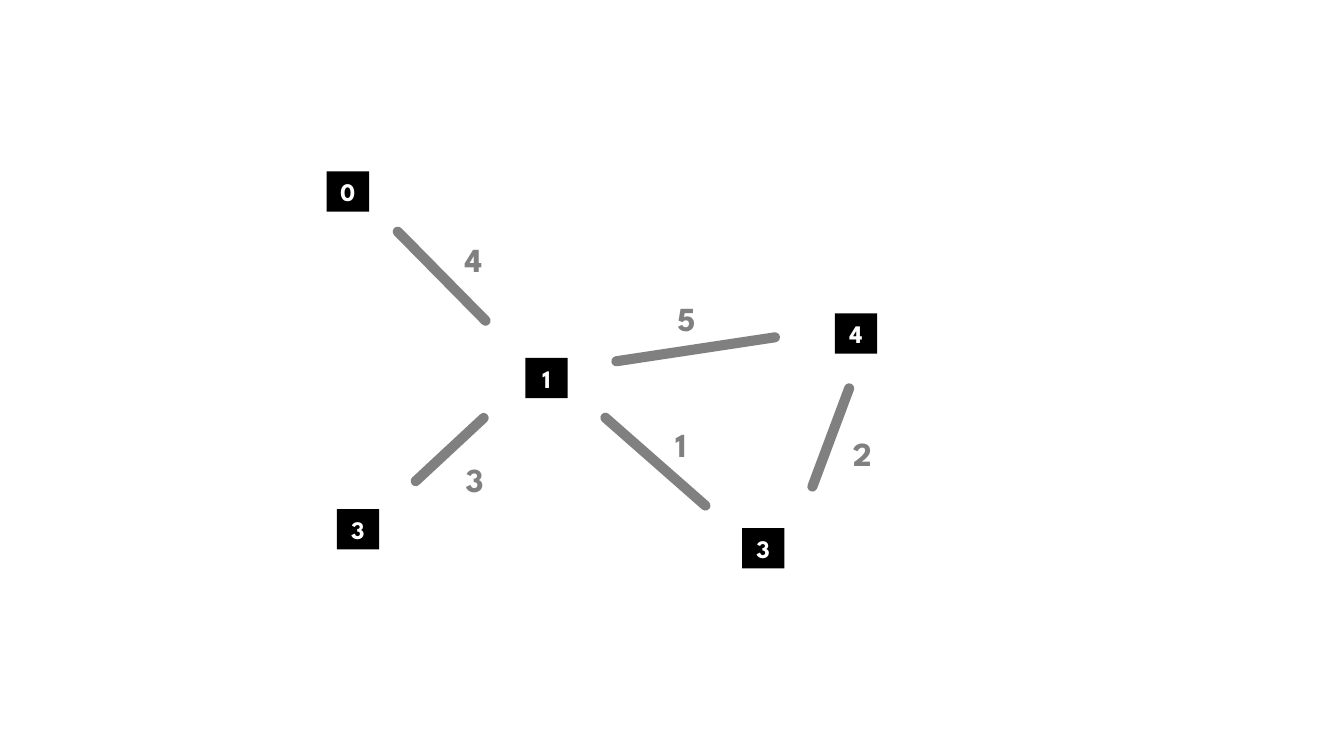
from pptx import Presentation
from pptx.dml.color import RGBColor
from pptx.enum.shapes import MSO_SHAPE
from pptx.enum.text import MSO_ANCHOR, PP_ALIGN
from pptx.util import Inches, Pt

# Content: nodes as (label, left, top)
NODES = [
    ("0", 3.24, 1.70),
    ("1", 5.21, 3.55),
    ("3", 7.36, 5.24),
    ("4", 8.28, 3.11),
    ("3", 3.34, 5.05),
]
# Edges as (weight, (label left, top), (bar centre x, y), length, rotation)
EDGES = [
    ("3", (4.52, 4.50), (4.46, 4.46), 1.02, 47.1),
    ("4", (4.51, 2.32), (4.38, 2.74), 1.34, 135.4),
    ("5", (6.62, 2.91), (6.90, 3.465), 1.69, 81.4),
    ("1", (6.60, 4.16), (6.50, 4.58), 1.42, 131.3),
    ("2", (8.36, 4.25), (8.24, 4.34), 1.14, 20.5),
]
NODE_SIZE = (0.42, 0.40)
WEIGHT_SIZE = (0.60, 0.50)
BAR_WIDTH = 0.10
FONT = "League Spartan"
BLACK, GREY, WHITE = "000000", "808080", "FFFFFF"


def color(value):
    return RGBColor.from_string(value)


def add_solid(slide, preset, left, top, width, height, fill):
    solid = slide.shapes.add_shape(
        preset, Inches(left), Inches(top), Inches(width), Inches(height))
    solid.shadow.inherit = False
    solid.fill.solid()
    solid.fill.fore_color.rgb = color(fill)
    solid.line.fill.background()
    return solid


def write(holder, label, size, ink, align):
    holder.text_frame.word_wrap = True
    paragraph = holder.text_frame.paragraphs[0]
    paragraph.text = label
    paragraph.alignment = align
    font = paragraph.font
    font.name, font.size, font.bold = FONT, Pt(size), True
    font.color.rgb = color(ink)


prs = Presentation()
prs.slide_width, prs.slide_height = Inches(13.33), Inches(7.5)
slide = prs.slides.add_slide(prs.slide_layouts[6])

# Edge bars
for _, _, (x, y), length, rotation in EDGES:
    bar = add_solid(slide, MSO_SHAPE.ROUNDED_RECTANGLE, x - BAR_WIDTH / 2,
                    y - length / 2, BAR_WIDTH, length, GREY)
    bar.adjustments[0] = 0.5
    bar.rotation = rotation

# Edge weights
for weight, corner, *_ in EDGES:
    weight_box = slide.shapes.add_textbox(*map(Inches, corner + WEIGHT_SIZE))
    write(weight_box, weight, 24, GREY, PP_ALIGN.LEFT)

# Nodes
for label, left, top in NODES:
    node = add_solid(slide, MSO_SHAPE.RECTANGLE, left, top, *NODE_SIZE, BLACK)
    node.text_frame.vertical_anchor = MSO_ANCHOR.MIDDLE
    write(node, label, 18, WHITE, PP_ALIGN.CENTER)

prs.save("out.pptx")
